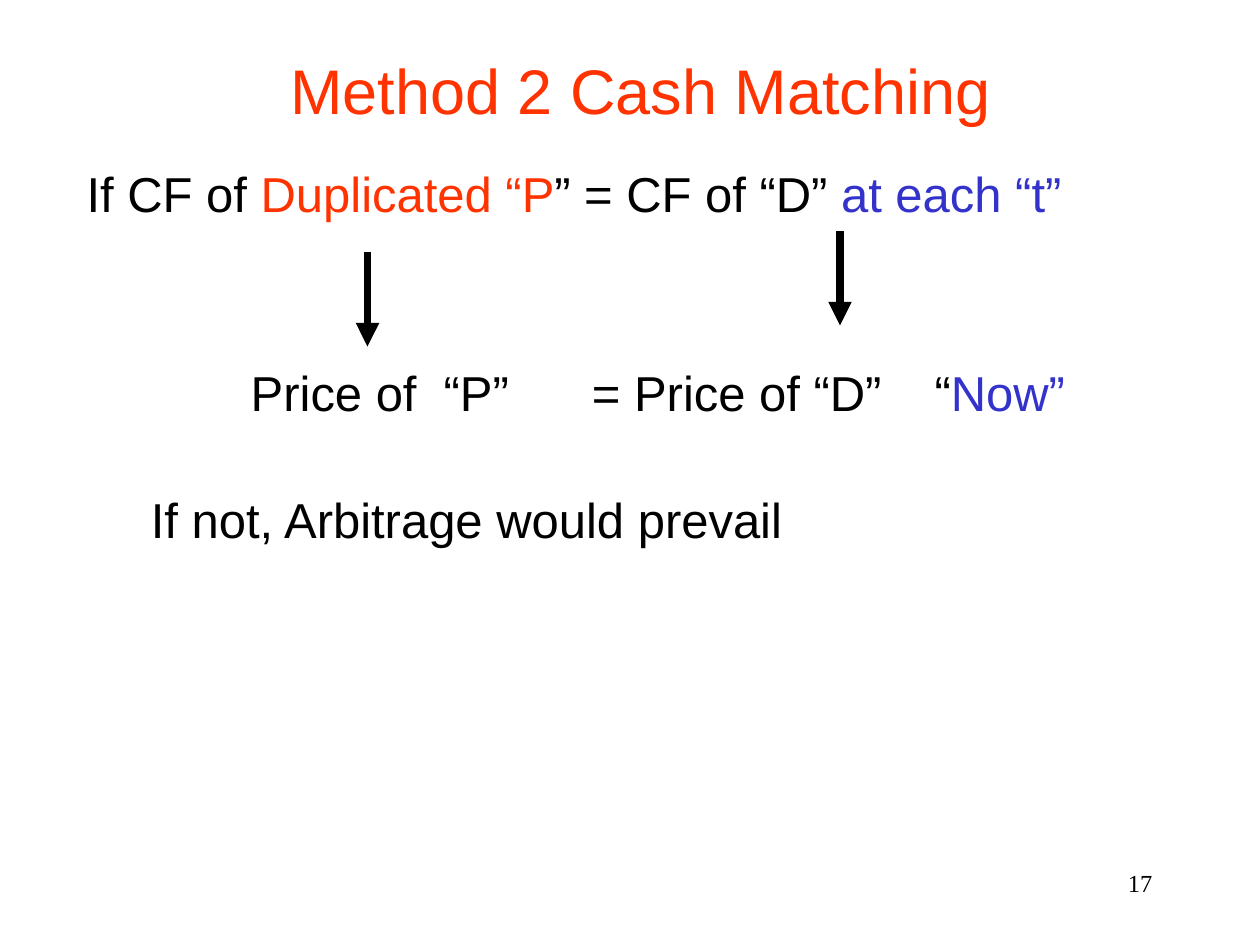
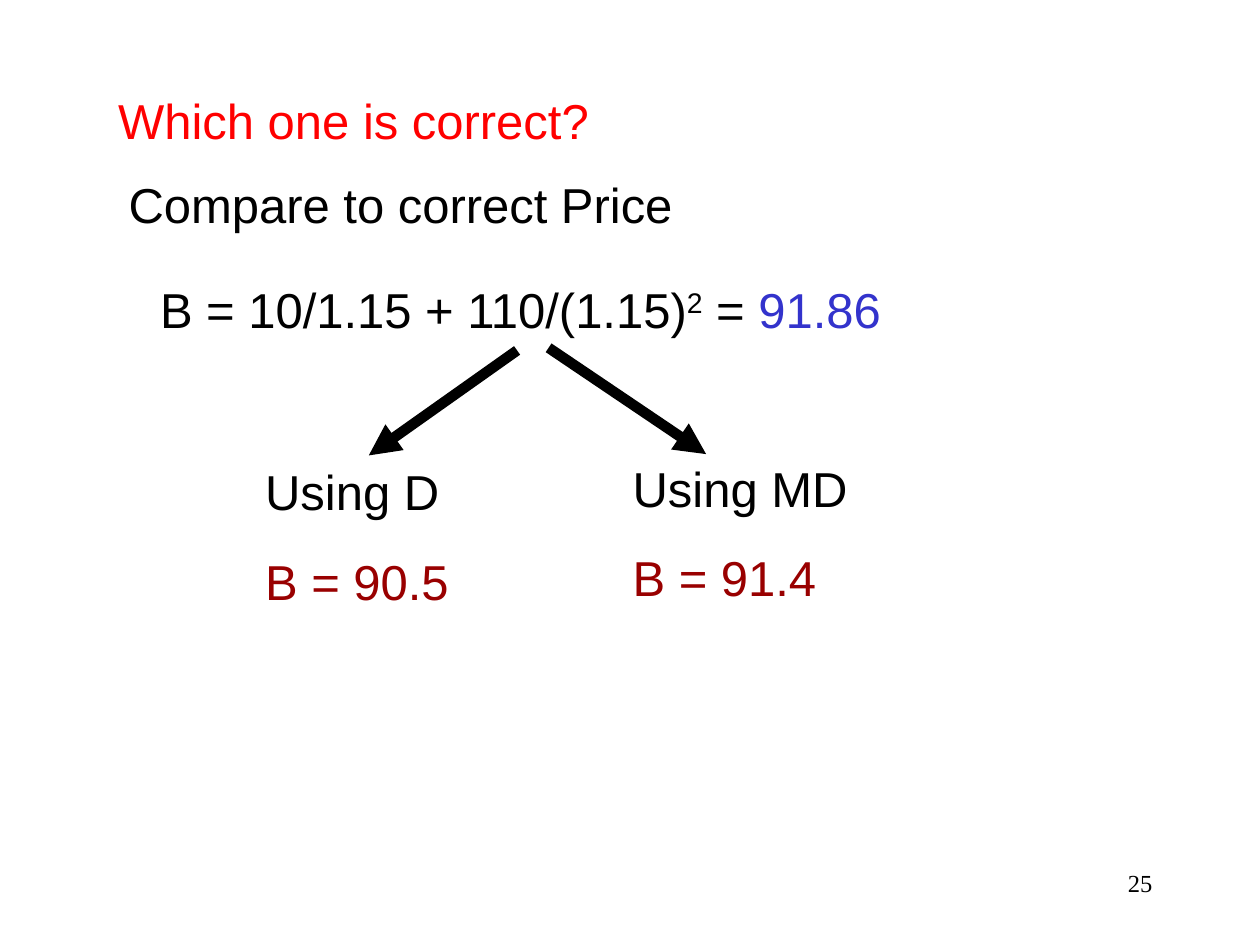
from dataclasses import dataclass

from lxml import etree
from pptx import Presentation, util as u
from pptx.dml.color import RGBColor
from pptx.enum import shapes, text
from pptx.oxml.ns import qn
from pptx.slide import Slide

PX = 9525


@dataclass(frozen=True)
class Theme:
    black: str = "000000"
    orange: str = "FF3300"
    red: str = "FF0000"
    blue: str = "3333CC"
    maroon: str = "990000"
    sans: str = "Arial"
    serif: str = "Times New Roman"
    title: int = 36
    body: int = 28
    number: int = 14


T = Theme()


@dataclass(frozen=True)
class Span:
    text: str
    color: str = T.black
    raised: bool = False


@dataclass(frozen=True)
class Label:
    box: tuple[int, int, int, int]
    paras: tuple[tuple[Span, ...], ...]
    size: int = T.body
    font: str = T.sans
    align: text.PP_ALIGN = text.PP_ALIGN.LEFT
    anchor: text.MSO_ANCHOR = text.MSO_ANCHOR.TOP
    leading: float = 1.0
    wrap: bool = True
    inset: int = 10
    tabs: tuple[int, ...] = ()


@dataclass(frozen=True)
class Arrow:
    start: tuple[int, int]
    end: tuple[int, int]
    width: float


@dataclass(frozen=True)
class Page:
    number: int
    labels: tuple[Label, ...]
    arrows: tuple[Arrow, ...]


def px(n: int) -> u.Emu:
    """Turn px into EMU."""
    return u.Emu(n * PX)


def apply(target: object, values: dict) -> None:
    """Set every attribute named in values."""
    for name, value in values.items():
        setattr(target, name, value)


def add_label(s: Slide, label: Label) -> None:
    """Draw a text box with its paragraphs and coloured spans."""
    tf = s.shapes.add_textbox(*map(px, label.box)).text_frame
    apply(tf, {"word_wrap": label.wrap, "vertical_anchor": label.anchor,
               "margin_left": px(label.inset), "margin_right": px(10),
               "margin_top": px(5), "margin_bottom": px(5)})
    for i, spans in enumerate(label.paras):
        p = tf.add_paragraph() if i else tf.paragraphs[0]
        apply(p, {"alignment": label.align, "line_spacing": label.leading})
        if i:
            p.space_before = u.Pt(17.5)
        if label.tabs:
            stops = etree.SubElement(p._p.get_or_add_pPr(), qn("a:tabLst"))
            for stop in label.tabs:
                etree.SubElement(stops, qn("a:tab"), pos=str(px(stop)), algn="l")
        for span in spans:
            r = p.add_run()
            r.text = span.text
            apply(r.font, {"name": label.font, "size": u.Pt(label.size)})
            r.font.color.rgb = RGBColor.from_string(span.color)
            if span.raised:
                r._r.get_or_add_rPr().set("baseline", "30000")


def add_arrow(s: Slide, arrow: Arrow) -> None:
    """Draw a straight black line with a triangle at its end."""
    sp = s.shapes.add_connector(shapes.MSO_CONNECTOR.STRAIGHT,
                                *map(px, arrow.start + arrow.end))
    sp.line.width = u.Pt(arrow.width)
    sp.line.color.rgb = RGBColor.from_string(T.black)
    etree.SubElement(sp.line._get_or_add_ln(), qn("a:tailEnd"), type="triangle")
    etree.SubElement(sp._element.spPr, qn("a:effectLst"))


def add_page(prs: Presentation, page: Page) -> None:
    """Add one slide with its number, labels and arrows."""
    s = prs.slides.add_slide(prs.slide_layouts[6])
    add_label(s, Label((688, 656, 200, 48), ((Span(str(page.number)),),),
                       T.number, T.serif, text.PP_ALIGN.RIGHT))
    for label in page.labels:
        add_label(s, label)
    for arrow in page.arrows:
        add_arrow(s, arrow)


def estimate(left: int, top: int, width: int, method: str, price: str) -> Label:
    """Describe a method name above the price it gives."""
    return Label((left, top, width, 123),
                 ((Span(f"Using {method}"),), (Span(f"B = {price}", T.maroon),)))


PAGES = (
    Page(17, (
        Label((88, 40, 800, 56), ((Span("Method 2 Cash Matching", T.orange),),),
              T.title, align=text.PP_ALIGN.CENTER, anchor=text.MSO_ANCHOR.MIDDLE),
        Label((56, 128, 960, 48), ((
            Span("If CF of "), Span("Duplicated “P", T.orange),
            Span("” = CF of “D” "), Span("at each “t”", T.blue)),), leading=0.8),
        Label((120, 280, 840, 64), ((
            Span("Price of\t“P”\t= Price of “D”\t“"), Span("Now”", T.blue)),),
            leading=0.8, inset=71, tabs=(147, 260, 521)),
        Label((105, 368, 502, 55), ((Span("If not, Arbitrage would prevail"),),),
              wrap=False),
    ), (
        Arrow((280, 192), (280, 264), 4.5),
        Arrow((640, 176), (640, 248), 4.5),
    )),
    Page(25, (
        Label((80, 64, 400, 64), ((Span("Which one is correct?", T.red),),)),
        Label((88, 128, 536, 55), ((Span("Compare to correct Price"),),)),
        Label((112, 208, 584, 55), ((
            Span("B = 10/1.15 + 110/(1.15)"), Span("2", raised=True),
            Span(" = "), Span("91.86", T.blue)),)),
        estimate(192, 347, 176, "D", "90.5"),
        estimate(472, 344, 208, "MD", "91.4"),
    ), (
        Arrow((394, 267), (281, 347), 6),
        Arrow((418, 265), (538, 346), 6),
    )),
)


def main() -> None:
    """Build and save the deck."""
    prs = Presentation()
    apply(prs, {"slide_width": px(960), "slide_height": px(720)})
    for page in PAGES:
        add_page(prs, page)
    prs.save("out.pptx")


if __name__ == "__main__":
    main()
